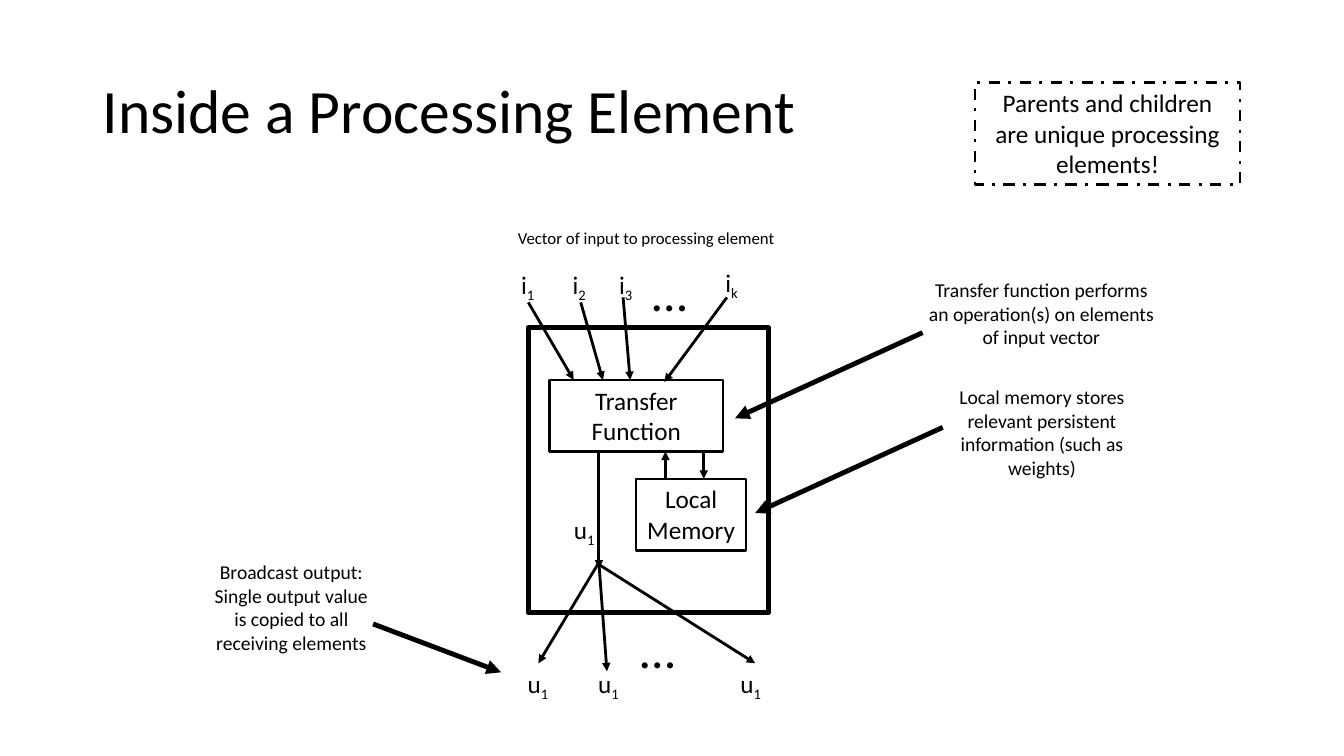
from lxml import etree
from pptx import Presentation
from pptx.dml.color import RGBColor
from pptx.enum.dml import MSO_LINE
from pptx.enum.shapes import MSO_CONNECTOR, MSO_SHAPE
from pptx.enum.text import MSO_ANCHOR, PP_ALIGN
from pptx.oxml.ns import qn
from pptx.util import Inches, Pt

LEFT, CENTER = PP_ALIGN.LEFT, PP_ALIGN.CENTER
TOP, MIDDLE = MSO_ANCHOR.TOP, MSO_ANCHOR.MIDDLE
RECT = MSO_SHAPE.RECTANGLE
STRAIGHT = MSO_CONNECTOR.STRAIGHT
DASH_DOT = MSO_LINE.DASH_DOT

COLORS = {"ink": "000000"}
INK = RGBColor.from_string(COLORS["ink"])
FONT = "Calibri"
COLS, ROWS = 133.3, 75
CELL = Inches(7.5) / ROWS


def grid(*cells):
    """Turn columns and rows of the grid into lengths."""
    return [round(cell * CELL) for cell in cells]


def write(shape, text, size, align=CENTER, anchor=TOP, sub=""):
    """Fill a shape with one paragraph, with an optional subscript."""
    frame = shape.text_frame
    frame.word_wrap = True
    frame.vertical_anchor = anchor
    para = frame.paragraphs[0]
    para.alignment = align
    para.add_run().text = text
    if sub:
        run = para.add_run()
        run.text = sub
        run.font._element.set("baseline", "-25000")
    para.font.name = FONT
    para.font.size = Pt(size)
    para.font.color.rgb = INK
    return para


def label(slide, place, text, size, **style):
    return write(slide.shapes.add_textbox(*grid(*place)), text, size, **style)


def box(slide, place, weight, text="", dash=None):
    shape = slide.shapes.add_shape(RECT, *grid(*place))
    shape.shadow.inherit = False
    shape.fill.background()
    shape.line.color.rgb = INK
    shape.line.width = Pt(weight)
    if dash:
        shape.line.dash_style = dash
    if text:
        write(shape, text, 18)


def arrow(slide, start, end, weight=2):
    link = slide.shapes.add_connector(STRAIGHT, *grid(*start, *end))
    link.line.color.rgb = INK
    link.line.width = Pt(weight)
    etree.SubElement(link.line._get_or_add_ln(), qn("a:tailEnd"), type="triangle")
    etree.SubElement(link._element.spPr, qn("a:effectLst"))


def draw_inputs(slide):
    inputs = [
        ("1", 50.5, 26.2, (52.4, 30), (56.9, 37.7)),
        ("2", 55.6, 26.2, (57.6, 30), (59.8, 37.7)),
        ("3", 60.2, 26.2, (61.8, 29.5), (62.5, 37.7)),
        ("k", 70.7, 26, (72.1, 29.5), (65.9, 37.9)),
    ]
    for sub, left, top, start, end in inputs:
        arrow(slide, start, end)
        label(slide, (left, top, 3.7, 4), "i", 18, sub=sub)
    label(slide, (50, 22.1, 28.2, 3), "Vector of input to processing element", 12)


def draw_outputs(slide):
    fork = 59.4
    arrow(slide, (fork, 44.8), (fork, 56.4))
    for row, end in [(55.8, (53.4, 65.8)), (55.8, (60.2, 66.6)),
                     (56, (74.9, 65.8))]:
        arrow(slide, (fork, row), end)
    for left, top in [(51.1, 65.8), (58.1, 65.8), (72.2, 65.8), (55.7, 50.5)]:
        label(slide, (left, top, 4.5, 4), "u", 18, sub="1")


def draw_core(slide):
    box(slide, (54.5, 37.7, 17.2, 7.1), 1.75, "Transfer Function")
    box(slide, (63.1, 47.5, 10.9, 7.1), 1.75, "Local Memory")
    arrow(slide, (66, 47.5), (66, 44.8))
    arrow(slide, (69.8, 44.8), (69.8, 47.5))
    for left, top in [(63.7, 25.4), (62.5, 60.8)]:
        label(slide, (left, top, 3.7, 7.1), "…", 36, align=LEFT)
    box(slide, (52.4, 32.5, 23.8, 28.3), 3.75)


def draw_notes(slide):
    notes = [
        ("Transfer function performs an operation(s) on elements of input vector",
         (91, 27.1, 24.6, 8.1), (91.5, 33), (72.9, 41.5)),
        ("Local memory stores relevant persistent information (such as weights)",
         (92.7, 37.7, 21.3, 10.4), (93.5, 42.4), (74.9, 50.9)),
        ("Broadcast output: Single output value is copied to all receiving elements",
         (20.2, 55.1, 17.4, 10.4), (37, 61.9), (49.7, 66.7)),
    ]
    for text, place, start, end in notes:
        arrow(slide, start, end, 3.5)
        label(slide, place, text, 14)
    box(slide, (96.7, 8.2, 26.3, 10.1), 2,
        "Parents and children are unique processing elements!", DASH_DOT)


def main():
    deck = Presentation()
    deck.slide_width, deck.slide_height = grid(COLS, ROWS)
    slide = deck.slides.add_slide(deck.slide_layouts[6])
    title = label(slide, (9.2, 4, 115, 14.5), "Inside a Processing Element", 44,
                  align=LEFT, anchor=MIDDLE)
    title.line_spacing = 0.9
    draw_core(slide)
    draw_inputs(slide)
    draw_outputs(slide)
    draw_notes(slide)
    deck.save("out.pptx")


if __name__ == "__main__":
    main()
